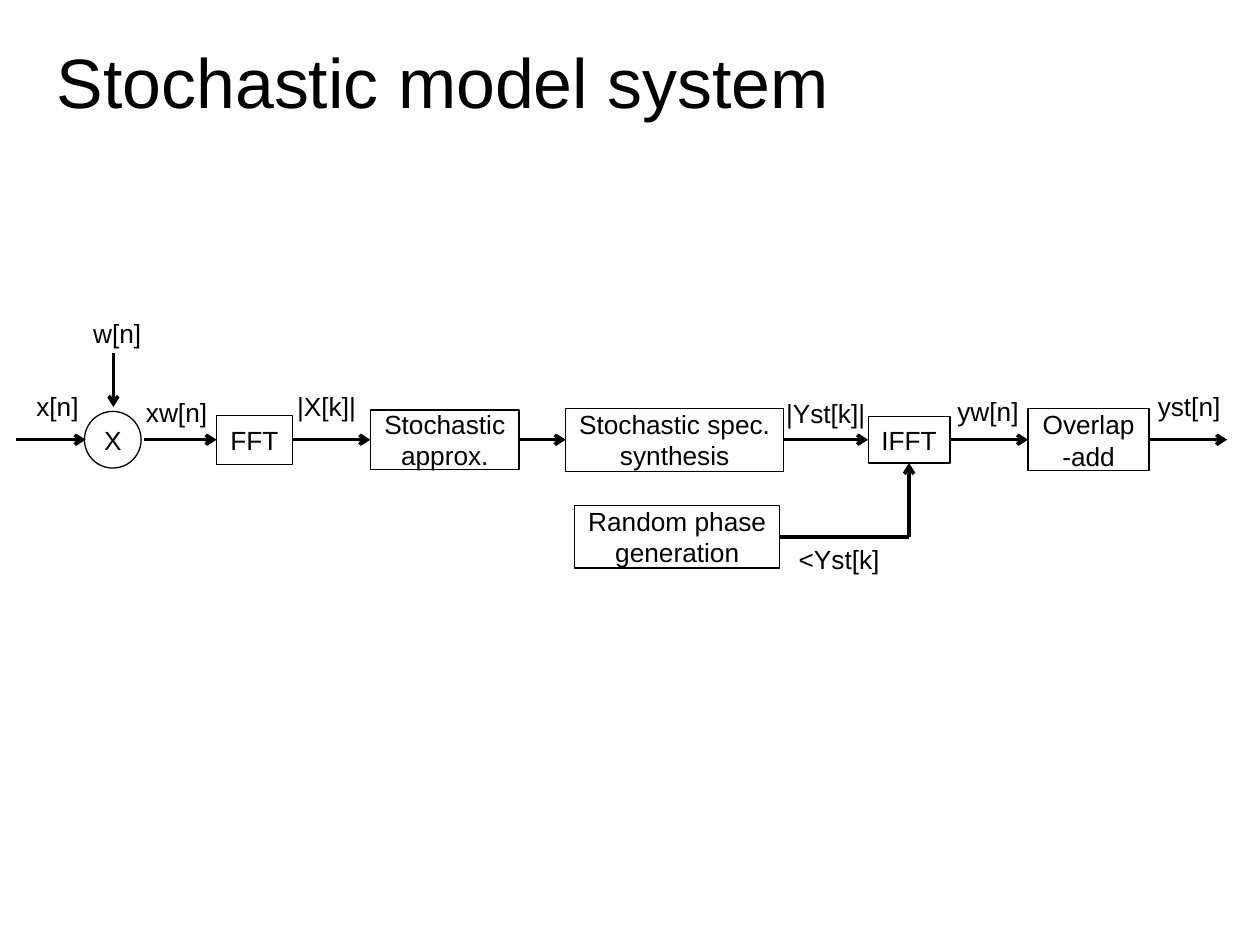
from dataclasses import dataclass

from lxml.etree import SubElement
from pptx import Presentation
from pptx.dml.color import RGBColor
from pptx.enum.shapes import MSO_CONNECTOR, MSO_SHAPE
from pptx.enum.text import MSO_ANCHOR, MSO_AUTO_SIZE, PP_ALIGN
from pptx.oxml.ns import qn
from pptx.util import Inches, Pt


@dataclass(frozen=True)
class Theme:
    font: str = "Arial"
    ink: RGBColor = RGBColor(0, 0, 0)
    head: float = 39.9
    body: float = 15
    line: float = 0


TOP, LEFT, BOTTOM, RIGHT = range(4)
AXIS = 3.49  # height of the main signal path


class Board:
    def __init__(self, slide, theme):
        self.slide = slide
        self.theme = theme

    def fill_text(self, shape, text, size, inset, align, anchor, wrap):
        frame = shape.text_frame
        frame.word_wrap = wrap
        frame.vertical_anchor = anchor
        frame.margin_left = frame.margin_right = Inches(inset[0])
        frame.margin_top = frame.margin_bottom = Inches(inset[1])
        par = frame.paragraphs[0]
        par.alignment = align
        run = par.add_run()
        run.text = text
        run.font.name = self.theme.font
        run.font.size = Pt(size)
        run.font.color.rgb = self.theme.ink

    def title(self, text, left, top, width, height):
        box = self.slide.shapes.add_textbox(
            Inches(left), Inches(top), Inches(width), Inches(height))
        self.fill_text(box, text, self.theme.head, (0, 0), PP_ALIGN.LEFT,
                       MSO_ANCHOR.MIDDLE, True)

    def label(self, text, left, top, width, height=0.34):
        box = self.slide.shapes.add_textbox(
            Inches(left), Inches(top), Inches(width), Inches(height))
        self.fill_text(box, text, self.theme.body, (0.1, 0.05), PP_ALIGN.LEFT,
                       MSO_ANCHOR.TOP, False)
        box.text_frame.auto_size = MSO_AUTO_SIZE.SHAPE_TO_FIT_TEXT

    def block(self, text, left, width, height, mid=AXIS,
              kind=MSO_SHAPE.RECTANGLE, inset=(0.09, 0.04), wrap=True):
        shape = self.slide.shapes.add_shape(
            kind, Inches(left), Inches(mid - height / 2),
            Inches(width), Inches(height))
        shape.shadow.inherit = False
        shape.fill.background()
        shape.line.color.rgb = self.theme.ink
        shape.line.width = Pt(self.theme.line)
        self.fill_text(shape, text, self.theme.body, inset, PP_ALIGN.CENTER,
                       MSO_ANCHOR.MIDDLE, wrap)
        return shape

    def link(self, start, end, begin=None, finish=None, arrow=True):
        """Draw a line; begin and finish are (block, side) pairs to join."""
        line = self.slide.shapes.add_connector(
            MSO_CONNECTOR.STRAIGHT, *map(Inches, start), *map(Inches, end))
        if begin:
            line.begin_connect(*begin)
        if finish:
            line.end_connect(*finish)
        line.line.color.rgb = self.theme.ink
        line.line.width = Pt(self.theme.line)
        props = line._element.spPr
        if arrow:
            SubElement(props.find(qn("a:ln")), qn("a:tailEnd"), type="arrow")
        SubElement(props, qn("a:effectLst"))


def main():
    deck = Presentation()
    deck.slide_width, deck.slide_height = Inches(10), Inches(7.5)
    board = Board(deck.slides.add_slide(deck.slide_layouts[6]), Theme())

    board.title("Stochastic model system", 0.45, 0.07, 8.16, 1.14)

    # Blocks along the main path, and the phase source below it
    board.block("X", 0.67, 0.45, 0.45, kind=MSO_SHAPE.OVAL,
                inset=(0, 0), wrap=False)
    fft = board.block("FFT", 1.72, 0.6, 0.39)
    approx = board.block("Stochastic approx.", 2.94, 1.18, 0.47)
    synth = board.block("Stochastic spec. synthesis", 4.49, 1.73, 0.5)
    ifft = board.block("IFFT", 6.89, 0.65, 0.37)
    add = board.block("Overlap-add", 8.16, 0.96, 0.49)
    phase = board.block("Random phase generation", 4.56, 1.63, 0.5, mid=4.26)

    # Inputs, output and the link out of the window product
    board.link((0.13, AXIS), (0.68, AXIS))
    board.link((0.9, 2.8), (0.9, 3.23))
    board.link((1.14, AXIS), (1.72, AXIS), finish=(fft, LEFT))
    board.link((9.12, AXIS), (9.74, AXIS), begin=(add, RIGHT))

    # Links between neighbours on the main path
    chain = [fft, approx, synth, ifft, add]
    for prev, succ in zip(chain, chain[1:]):
        board.link((0, AXIS), (1, AXIS), (prev, RIGHT), (succ, LEFT))

    # Phase goes right, then up into the inverse transform
    turn = ((ifft.left + ifft.width / 2) / Inches(1), 4.26)
    board.link((6.19, 4.26), turn, begin=(phase, RIGHT), arrow=False)
    board.link(turn, (turn[0], 3.68), finish=(ifft, BOTTOM))

    # Signal names
    for name in [
        ("w[n]", 0.64, 2.47, 0.59),
        ("x[n]", 0.19, 3.05, 0.54),
        ("xw[n]", 1.06, 3.1, 0.71),
        ("|X[k]|", 2.26, 3.05, 0.69),
        ("|Yst[k]|", 6.14, 3.1, 0.86, 0.38),
        ("<Yst[k]", 6.24, 4.26, 0.88, 0.38),
        ("yw[n]", 7.5, 3.09, 0.71),
        ("yst[n]", 9.09, 3.05, 0.72),
    ]:
        board.label(*name)

    deck.save("out.pptx")


if __name__ == "__main__":
    main()
